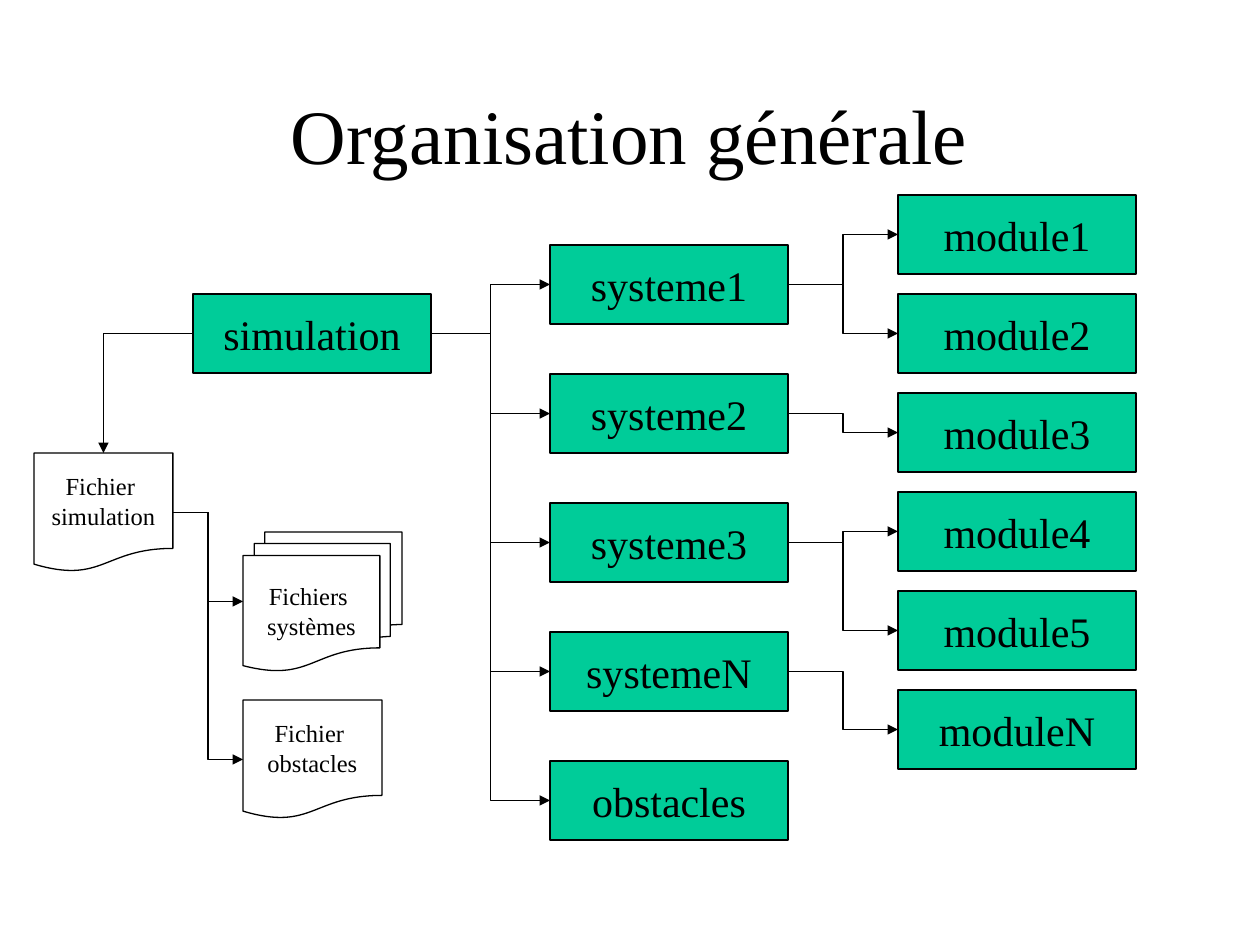
import pptx
import pptx.dml.color
import pptx.enum.shapes
import pptx.enum.text
import pptx.oxml
import pptx.oxml.ns
import pptx.util
import lxml.etree

EMU_PER_PX = 914400 / 126
SHAPES = pptx.enum.shapes.MSO_SHAPE
TOP, LEFT, RIGHT = 0, 1, 3
BLACK, WHITE, GREEN = "000000", "FFFFFF", "00CC99"
BOX_WIDTH, BOX_HEIGHT = 238, 79
LINE_WIDTH = pptx.util.Pt(0.75)


def px(length):
    return pptx.util.Emu(round(length * EMU_PER_PX))


def set_color(color_format, hex_color):
    color_format.rgb = pptx.dml.color.RGBColor.from_string(hex_color)


def set_attributes(target, values):
    for name, value in values.items():
        setattr(target, name, value)


def write_text(shape, text, size, wrap):
    frame = shape.text_frame
    frame.text = text
    set_attributes(frame, {
        "word_wrap": wrap,
        "auto_size": pptx.enum.text.MSO_AUTO_SIZE.NONE,
        "vertical_anchor": pptx.enum.text.MSO_ANCHOR.MIDDLE,
    })
    for paragraph in frame.paragraphs:
        paragraph.alignment = pptx.enum.text.PP_ALIGN.CENTER
        font = paragraph.runs[0].font
        set_attributes(font, {"name": "Times New Roman", "size": pptx.util.Pt(size)})
        set_color(font.color, BLACK)


def set_title(slide, text):
    title = slide.shapes.title
    set_attributes(title, {
        "left": px(94), "top": px(66), "width": px(1071), "height": px(136),
    })
    write_text(title, text, 44, True)


def add_node(slide, kind, bounds, text, fill, size):
    shape = slide.shapes.add_shape(kind, *map(px, bounds))
    shape.shadow.inherit = False
    shape.fill.solid()
    set_color(shape.fill.fore_color, fill)
    set_color(shape.line.color, BLACK)
    shape.line.width = LINE_WIDTH
    write_text(shape, text, size, False)
    return shape


def add_box(slide, left, top, text):
    bounds = (left, top, BOX_WIDTH, BOX_HEIGHT)
    return add_node(slide, SHAPES.RECTANGLE, bounds, text, GREEN, 24)


def add_column(slide, left, top, step, names):
    return [add_box(slide, left, top + row * step, name) for row, name in enumerate(names)]


def add_document(slide, kind, bounds, text):
    return add_node(slide, kind, bounds, text, WHITE, 14)


def add_arrow(slide, source, target, source_site=RIGHT, target_site=LEFT):
    connector = slide.shapes.add_connector(
        pptx.enum.shapes.MSO_CONNECTOR.ELBOW, 0, 0, 0, 0)
    connector.begin_connect(source, source_site)
    connector.end_connect(target, target_site)
    set_color(connector.line.color, BLACK)
    connector.line.width = LINE_WIDTH
    properties = connector.element.spPr
    line = properties.find(pptx.oxml.ns.qn("a:ln"))
    lxml.etree.SubElement(line, pptx.oxml.ns.qn("a:tailEnd"), type="triangle")
    lxml.etree.SubElement(properties, pptx.oxml.ns.qn("a:effectLst"))
    return connector


def add_corner_arrow(slide, source, target):
    connector = add_arrow(slide, source, target, LEFT, TOP)
    geometry = connector.element.spPr.find(pptx.oxml.ns.qn("a:prstGeom"))
    geometry.set("prst", "bentConnector2")


def main():
    presentation = pptx.Presentation()
    presentation.slide_width = px(1260)
    presentation.slide_height = px(945)
    slide = presentation.slides.add_slide(presentation.slide_layouts[5])
    set_title(slide, "Organisation générale")

    simulation = add_box(slide, 193, 294, "simulation")
    systems = add_column(slide, 550, 245, 129, [
        "systeme1", "systeme2", "systeme3", "systemeN", "obstacles"])
    modules = add_column(slide, 898, 195, 99, [
        "module1", "module2", "module3", "module4", "module5", "moduleN"])
    for system in systems:
        add_arrow(slide, simulation, system)
    for module, system_index in zip(modules, [0, 0, 1, 2, 2, 3]):
        add_arrow(slide, systems[system_index], module)

    system_files = add_document(
        slide, SHAPES.FLOWCHART_MULTIDOCUMENT, (243, 532, 159, 139), "Fichiers \nsystèmes")
    simulation_file = add_document(
        slide, SHAPES.FLOWCHART_DOCUMENT, (34, 453, 139, 119), "Fichier \nsimulation")
    obstacle_file = add_document(
        slide, SHAPES.FLOWCHART_DOCUMENT, (243, 700, 139, 119), "Fichier \nobstacles")
    add_corner_arrow(slide, simulation, simulation_file)
    for document in (system_files, obstacle_file):
        add_arrow(slide, simulation_file, document)

    presentation.save("out.pptx")


if __name__ == "__main__":
    main()
